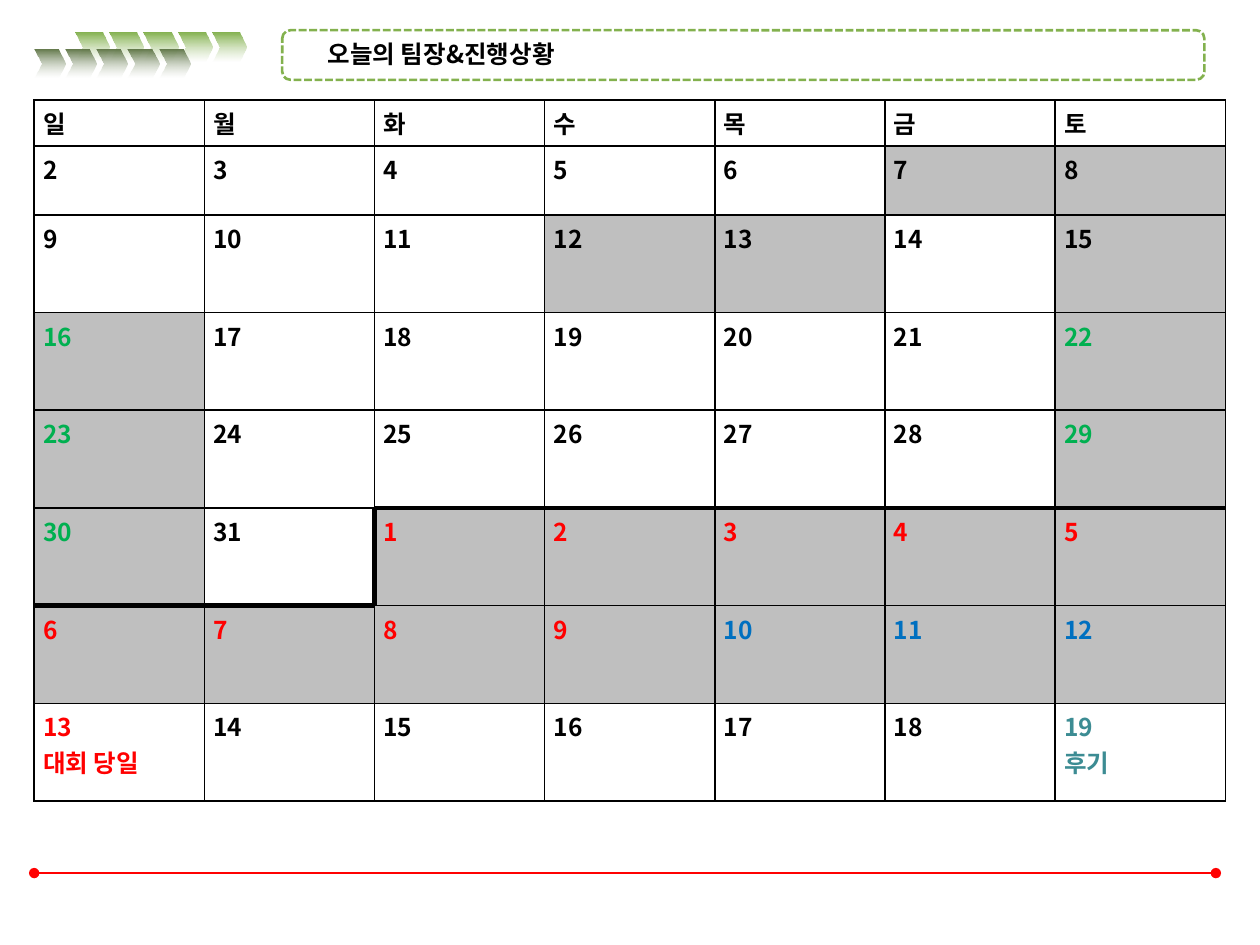
"""Build a monthly calendar slide with team leader and progress heading."""
from lxml.etree import SubElement
from pptx import Presentation
from pptx.dml.color import RGBColor
from pptx.enum.dml import MSO_LINE
from pptx.enum.shapes import MSO_CONNECTOR, MSO_SHAPE
from pptx.enum.text import MSO_ANCHOR, MSO_AUTO_SIZE, PP_ALIGN
from pptx.oxml import parse_xml
from pptx.oxml.ns import nsdecls, qn
from pptx.util import Cm, Pt

TITLE = "오늘의 팀장&진행상황"
ROWS = [
    ["일", "월", "화", "수", "목", "금", "토"],
    ["2", "3", "4", "5", "6", "7", "8"],
    ["9", "10", "11", "12", "13", "14", "15"],
    ["16", "17", "18", "19", "20", "21", "22"],
    ["23", "24", "25", "26", "27", "28", "29"],
    ["30", "31", "1", "2", "3", "4", "5"],
    ["6", "7", "8", "9", "10", "11", "12"],
    ["13\n대회 당일", "14", "15", "16", "17", "18", "19\n후기"],
]
SHADES = [".......", ".....##", "...##.#", "#.....#",
          "#.....#", "#.#####", "#######", "......."]
INKS = ["kkkkkkk", "kkkkkkk", "kkkkkkk", "gkkkkkg",
        "gkkkkkg", "gkrrrrr", "rrrrbbb", "rkkkkkt"]
NEXT_MONTH = (5, 2)

FONT = "Noto Sans CJK KR"
BLACK = RGBColor(0x00, 0x00, 0x00)
WHITE = RGBColor(0xFF, 0xFF, 0xFF)
GREY = RGBColor(0xBF, 0xBF, 0xBF)
RED = RGBColor(0xFF, 0x01, 0x01)
LEAF = RGBColor(0x83, 0xB1, 0x4E)
OLIVE = RGBColor(0x61, 0x77, 0x49)
INK_COLORS = {
    "k": BLACK,
    "g": RGBColor(0x00, 0xB0, 0x50),
    "r": RGBColor(0xFF, 0x00, 0x00),
    "b": RGBColor(0x00, 0x70, 0xC0),
    "t": RGBColor(0x3C, 0x8C, 0x93),
}

LEFT = 0.69
COL_WIDTH = 3.43
ROW_HEIGHTS = [0.83, 1.39] + [1.97] * 6
CHEVRONS = [
    (1.52, 0.66, 0.69, 0.25, LEAF, 52),
    (LEFT, 0.99, 0.63, 0.265, OLIVE, 36),
]


def add_run(p, text, color):
    r = p.add_run()
    r.text = text
    r.font.size, r.font.bold, r.font.name = Pt(14), True, FONT
    r.font.color.rgb = color
    SubElement(r.font._element, qn("a:ea"), typeface=FONT)


def add_title(slide):
    s = slide.shapes.title
    s.left, s.top, s.width, s.height = Cm(6.35), Cm(0.71), Cm(11.76), Cm(0.76)
    tf = s.text_frame
    tf.auto_size, tf.vertical_anchor = MSO_AUTO_SIZE.NONE, MSO_ANCHOR.MIDDLE
    p = tf.paragraphs[0]
    p.alignment = PP_ALIGN.LEFT
    add_run(p, TITLE, BLACK)


def add_footer_line(slide):
    s = slide.shapes.add_connector(
        MSO_CONNECTOR.STRAIGHT, Cm(LEFT), Cm(17.6), Cm(24.51), Cm(17.6))
    s.line.color.rgb, s.line.width = RED, Pt(0.75)
    ln = s.line._get_or_add_ln()
    for end in ("a:headEnd", "a:tailEnd"):
        SubElement(ln, qn(end), type="oval")
    SubElement(s.element.spPr, qn("a:effectLst"))


def add_title_frame(slide):
    s = slide.shapes.add_shape(
        MSO_SHAPE.ROUNDED_RECTANGLE, Cm(5.69), Cm(0.61), Cm(18.59), Cm(1))
    s.shadow.inherit = False
    s.fill.background()
    s.line.color.rgb, s.line.width = LEAF, Pt(1.5)
    s.line.dash_style = MSO_LINE.SQUARE_DOT


def add_chevrons(slide):
    group = slide.shapes.add_group_shape()
    for left, top, width, notch, color, opacity in CHEVRONS:
        for i in range(5):
            s = group.shapes.add_shape(
                MSO_SHAPE.CHEVRON, Cm(left + i * width), Cm(top), Cm(width), Cm(0.58))
            s.adjustments[0] = notch
            s.shadow.inherit = False
            s.line.fill.background()
            s.fill.gradient()
            s.fill.gradient_angle = 270
            start, end = s.fill.gradient_stops
            start.color.rgb, end.color.rgb = color, WHITE
            clr = s.element.xpath(".//a:gs[last()]/a:srgbClr")[0]
            SubElement(clr, qn("a:alpha"), val=str(opacity * 1000))


def set_borders(cell, row, col):
    neighbours = {"L": (row, col - 1), "R": (row, col + 1),
                  "T": (row - 1, col), "B": (row + 1, col)}
    tcPr = cell._tc.get_or_add_tcPr()
    for i, (side, (r, c)) in enumerate(neighbours.items()):
        inside = 0 <= r < len(ROWS) and 0 <= c < len(ROWS[0])
        month_edge = inside and ((r, c) >= NEXT_MONTH) != ((row, col) >= NEXT_MONTH)
        width = Pt(3 if month_edge else 1)
        tcPr.insert(i, parse_xml(
            f'<a:ln{side} {nsdecls("a")} w="{width}"><a:solidFill>'
            f'<a:srgbClr val="{BLACK}"/></a:solidFill></a:ln{side}>'))


def add_calendar(slide):
    cols = len(ROWS[0])
    table = slide.shapes.add_table(
        len(ROWS), cols, Cm(LEFT), Cm(2.02),
        Cm(COL_WIDTH * cols), Cm(sum(ROW_HEIGHTS))).table
    table.first_row = table.horz_banding = False
    for column in table.columns:
        column.width = Cm(COL_WIDTH)
    for row, texts in enumerate(ROWS):
        table.rows[row].height = Cm(ROW_HEIGHTS[row])
        for col, text in enumerate(texts):
            cell = table.cell(row, col)
            cell.margin_left = cell.margin_right = Cm(0.18)
            cell.margin_top = cell.margin_bottom = Cm(0.1)
            cell.fill.solid()
            cell.fill.fore_color.rgb = GREY if SHADES[row][col] == "#" else WHITE
            set_borders(cell, row, col)
            tf = cell.text_frame
            for i, line in enumerate(text.split("\n")):
                p = tf.add_paragraph() if i else tf.paragraphs[0]
                add_run(p, line, INK_COLORS[INKS[row][col]])


def main():
    prs = Presentation()
    prs.slide_width, prs.slide_height = Cm(25.4), Cm(19.05)
    slide = prs.slides.add_slide(prs.slide_layouts[5])
    add_footer_line(slide)
    add_title_frame(slide)
    add_chevrons(slide)
    add_title(slide)
    add_calendar(slide)
    prs.save("out.pptx")


if __name__ == "__main__":
    main()
